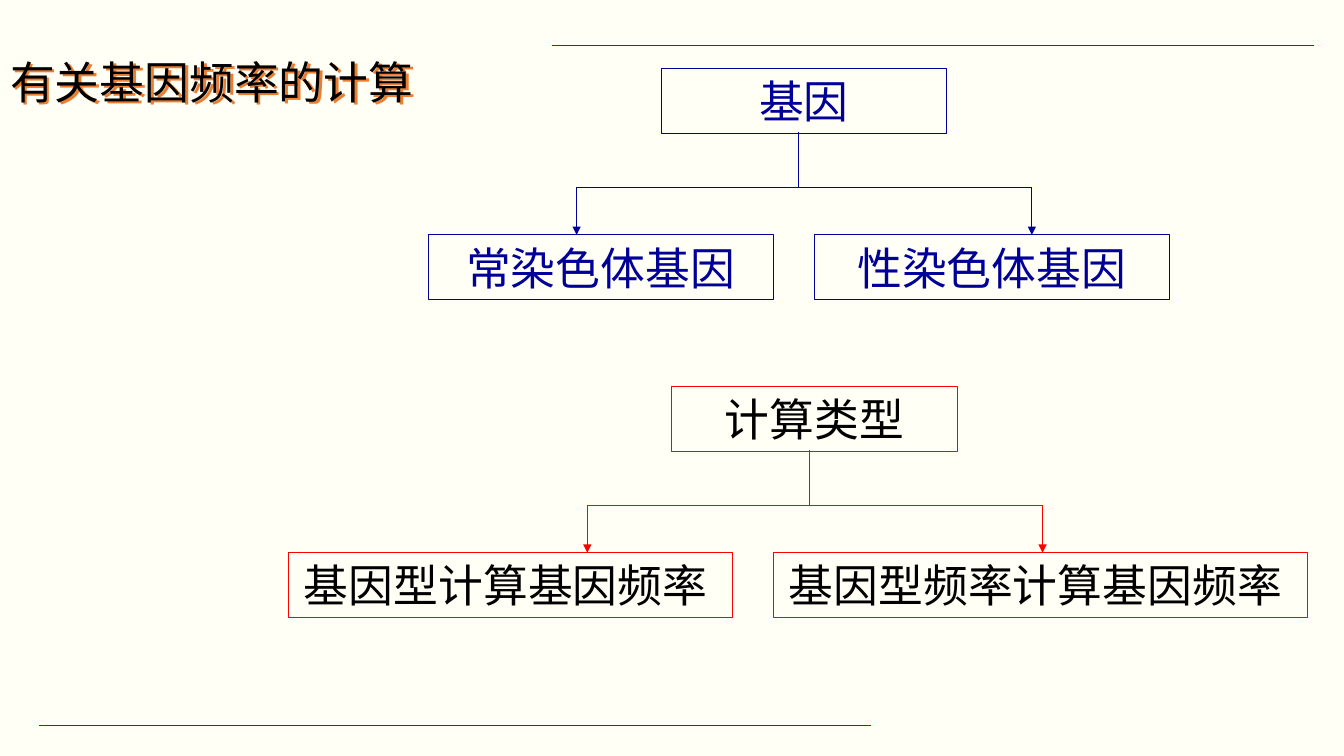
import pptx
import pptx.dml.color
import pptx.enum.dml
import pptx.enum.shapes
import pptx.enum.text
import pptx.oxml
import pptx.oxml.ns
import pptx.util
from lxml import etree

Pt = pptx.util.Pt
RGBColor = pptx.dml.color.RGBColor
IVORY = RGBColor(0xFF, 0xFF, 0xF5)
BLACK = RGBColor(0, 0, 0)
NAVY = RGBColor(0, 0, 0x99)
RED = RGBColor(0xFF, 0, 0)
DARK_RED = RGBColor(0xC0, 0, 0)
ORANGE = RGBColor(0xED, 0x7D, 0x31)
SERIF = "Times New Roman"
SANS = "Noto Sans CJK JP"
BOX_HEIGHT = 46.2


def add_element(parent, tag, **attributes):
    return etree.SubElement(parent, pptx.oxml.ns.qn(tag), attributes)


def write_text(frame, text, font=SANS, color=BLACK, size=32,
               align=pptx.enum.text.PP_ALIGN.CENTER,
               anchor=pptx.enum.text.MSO_ANCHOR.MIDDLE, spacing=1.0):
    frame.word_wrap = True
    frame.auto_size = pptx.enum.text.MSO_AUTO_SIZE.NONE
    frame.vertical_anchor = anchor
    para = frame.paragraphs[0]
    para.alignment = align
    para.line_spacing = spacing
    para.space_before = Pt(0)
    span = para.add_run()
    span.text = text
    span.font.name = font
    span.font.size = Pt(size)
    span.font.color.rgb = color
    add_element(span.font._element, "a:ea", typeface=SANS)


def add_line(shapes, start, end, color, width=0.75, arrow=False):
    line = shapes.add_connector(pptx.enum.shapes.MSO_CONNECTOR.STRAIGHT,
                                *map(Pt, start + end))
    line.line.color.rgb = color
    line.line.width = Pt(width)
    if arrow:
        add_element(line.line._get_or_add_ln(), "a:tailEnd", type="triangle")
    add_element(line._element.spPr, "a:effectLst")


def add_box(shapes, left, top, width, text, line_color, **text_format):
    box = shapes.add_shape(pptx.enum.shapes.MSO_SHAPE.RECTANGLE,
                           Pt(left), Pt(top), Pt(width), Pt(BOX_HEIGHT))
    box.shadow.inherit = False
    box.fill.background()
    box.line.color.rgb = line_color
    box.line.width = Pt(0.75)
    write_text(box.text_frame, text, **text_format)


def add_tree(page, left, top, root, branches, line_color, root_font, branch_font, color):
    shapes = page.shapes.add_group_shape().shapes
    stem, bar, branch_top = left + 98.4, top + 84.9, top + 118.8
    ends = (left - 60.4, left + 264.8)
    add_box(shapes, left, top, 203.8, root, line_color, font=root_font, color=color)
    add_line(shapes, (stem, top + 45.4), (stem, bar), line_color)
    add_line(shapes, (ends[0], bar), (ends[1], bar), line_color)
    for end in ends:
        add_line(shapes, (end, bar), (end, branch_top), line_color, arrow=True)
    for text, branch_left, width in branches:
        add_box(shapes, branch_left, branch_top, width, text, line_color,
                font=branch_font, color=color)


def add_title(page, left, top, width, height, text):
    title = page.shapes.title
    title.left, title.top, title.width, title.height = map(Pt, (left, top, width, height))
    frame = title.text_frame
    frame.margin_top = frame.margin_bottom = 0
    write_text(frame, text, align=pptx.enum.text.PP_ALIGN.LEFT,
               anchor=pptx.enum.text.MSO_ANCHOR.TOP, spacing=0.9)
    effects = add_element(title._element.spPr, "a:effectLst")
    shadow = add_element(effects, "a:outerShdw", dist=str(Pt(2.8)), dir="2700000",
                         algn="ctr", rotWithShape="0")
    add_element(shadow, "a:srgbClr", val=str(ORANGE))


def add_rules(page):
    add_line(page.shapes, (394.6, 32.2), (938.9, 32.2), DARK_RED, width=0.5)
    add_line(page.shapes, (27.6, 518.4), (622, 518.4), DARK_RED, width=0.5)


def main():
    deck = pptx.Presentation()
    deck.slide_width, deck.slide_height = Pt(960), Pt(540)
    page = deck.slides.add_slide(deck.slide_layouts[5])
    page.background.fill.solid()
    page.background.fill.fore_color.rgb = IVORY
    add_rules(page)
    add_title(page, 0, 43.2, 461.5, 56.9, "有关基因频率的计算")
    add_tree(page, 472.3, 49, "基因",
             [("常染色体基因", 306, 246.2), ("性染色体基因", 581.8, 253.4)],
             NAVY, SERIF, SERIF, NAVY)
    add_tree(page, 479.9, 276, "计算类型",
             [("基因型计算基因频率 ", 206.3, 317.2), ("基因型频率计算基因频率 ", 552.8, 381)],
             RED, SERIF, SANS, BLACK)
    deck.save("out.pptx")


if __name__ == "__main__":
    main()
